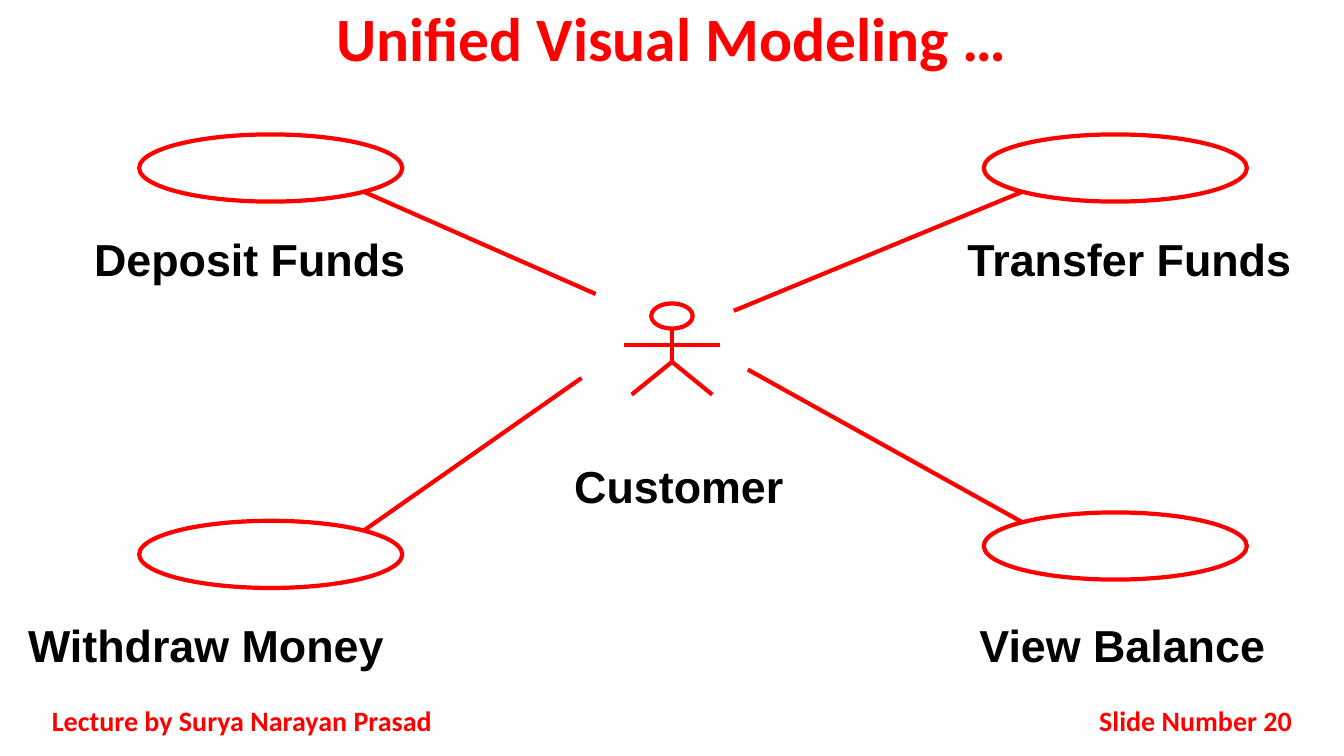
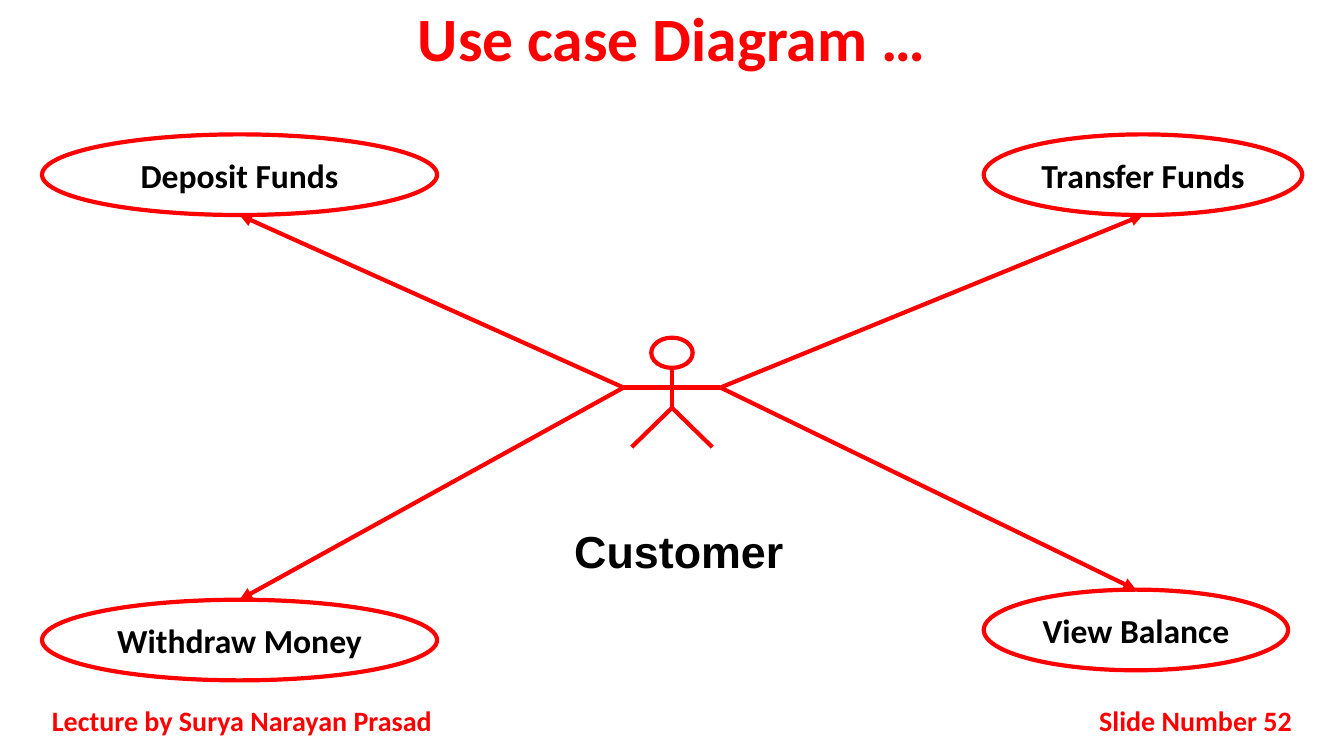
"""Build two use case diagram slides on a grid of 96 columns and 90 rows."""
import math

from lxml import etree
from pptx import Presentation
from pptx.dml.color import RGBColor
from pptx.enum import shapes, text
from pptx.oxml import ns
from pptx.util import Inches, Pt

RED = RGBColor(0xFF, 0, 0)
BLACK = RGBColor(0, 0, 0)
WHITE = RGBColor(0xFF, 0xFF, 0xFF)
WIDTH, HEIGHT = Inches(13.33), Inches(7.5)
COLUMNS, ROWS = 96, 90
STROKE = Pt(3)
TITLE_ONLY = 5
CENTER = text.PP_ALIGN.CENTER
LABEL_ROWS = 7.68

LABELLED_CASES = [
    ("Deposit Funds", (9.94, 16), (6, 27, 23.69), (42.55, 35)),
    ("Withdraw Money", (9.94, 62), (0.72, 73, 28), (41.54, 45)),
    ("View Balance", (70.27, 61), (68.33, 73, 23.69), (53.42, 44)),
    ("Transfer Funds", (70.27, 16), (68.33, 27, 24.7), (52.42, 37)),
]
NAMED_CASES = [
    ("Deposit Funds", (3, 16, 28.22, 9.6)),
    ("Withdraw Money", (3, 71.4, 28.22, 9.6)),
    ("View Balance", (70.27, 70.2, 21.74, 9.6)),
    ("Transfer Funds", (70.27, 16, 22.75, 9.6)),
]


def place(column, row):
    """Turn a grid position or size into slide lengths."""
    return round(WIDTH * column / COLUMNS), round(HEIGHT * row / ROWS)


def write(shape, words, size, color, font="Calibri", align=CENTER,
          anchor=text.MSO_ANCHOR.MIDDLE):
    """Put one bold paragraph into a shape."""
    frame = shape.text_frame
    frame.text = words
    frame.word_wrap = True
    frame.auto_size = text.MSO_AUTO_SIZE.NONE
    frame.vertical_anchor = anchor
    para = frame.paragraphs[0]
    para.alignment = align
    for span in para.runs:
        span.font.name, span.font.size = font, Pt(size)
        span.font.bold, span.font.color.rgb = True, color
    return para


def add_text(page, words, area, size, color, **style):
    """Add a text box over a grid area."""
    box = page.shapes.add_textbox(*place(*area[:2]), *place(*area[2:]))
    write(box, words, size, color, **style)


def add_label(page, words, area):
    """Add a large black caption."""
    add_text(page, words, area, 32, BLACK, font="Arial", anchor=text.MSO_ANCHOR.TOP)


def add_ellipse(page, area, words=""):
    """Add a red outlined ellipse, named inside if words are given."""
    oval = page.shapes.add_shape(shapes.MSO_SHAPE.OVAL, *place(*area[:2]), *place(*area[2:]))
    oval.shadow.inherit = False
    oval.fill.solid()
    oval.fill.fore_color.rgb = WHITE
    oval.line.color.rgb, oval.line.width = RED, STROKE
    if words:
        write(oval, words, 24, BLACK)


def add_line(page, start, end, arrow=False):
    """Add a red line between two grid points, with an optional arrowhead at its end."""
    line = page.shapes.add_connector(
        shapes.MSO_CONNECTOR.STRAIGHT, *place(*start), *place(*end))
    line.line.color.rgb, line.line.width = RED, STROKE
    if arrow:
        etree.SubElement(line.line._get_or_add_ln(), ns.qn("a:tailEnd"), type="triangle")
    etree.SubElement(line._element.spPr, ns.qn("a:effectLst"))


def add_customer(page, top, head, label_row):
    """Draw a stick figure scaled by its head height and return its two hands."""
    middle = COLUMNS / 2
    neck, hip = (middle, top + head), (middle, top + 2.32 * head)
    hands = [(middle + side * 3.46, top + 1.65 * head) for side in (-1, 1)]
    add_ellipse(page, (middle - 1.48, top, 2.96, head))
    add_line(page, neck, hip)
    for side in (-1, 1):
        add_line(page, hip, (middle + side * 2.88, top + 3.62 * head))
    add_line(page, *hands)
    add_label(page, "Customer", (36.65, label_row, 23.69, LABEL_ROWS))
    return hands


def rim_point(area, toward):
    """Return the diagonal point of an ellipse's rim that faces a grid point."""
    left, top, width, height = area
    center = (left + width / 2, top + height / 2)
    radii = (width / 2, height / 2)
    return [mid + math.copysign(radius * math.sqrt(0.5), goal - mid)
            for mid, radius, goal in zip(center, radii, toward)]


def add_page(deck, title, number):
    """Add a slide with its title and footer."""
    page = deck.slides.add_slide(deck.slide_layouts[TITLE_ONLY])
    heading = page.shapes.title
    heading.left, heading.top = 0, 0
    heading.width, heading.height = place(COLUMNS, 10)
    write(heading, title, 44, RED).line_spacing = 0.9
    add_text(page, "Lecture by Surya Narayan Prasad", (3, 83.4, 30, 4.8), 20, RED,
             align=text.PP_ALIGN.JUSTIFY)
    add_text(page, f"Slide Number {number}", (73.2, 83.4, 19.8, 4.8), 20, RED,
             align=text.PP_ALIGN.RIGHT)
    return page


def add_modeling_page(deck):
    """Show use cases with captions below them."""
    page = add_page(deck, "Unified Visual Modeling …", 20)
    add_customer(page, 36.12, 3, 54)
    for name, corner, caption, line_end in LABELLED_CASES:
        area = (*corner, 18.79, 8)
        add_ellipse(page, area)
        add_line(page, rim_point(area, line_end), line_end)
        add_label(page, name, (*caption, LABEL_ROWS))


def add_use_case_page(deck):
    """Show named use cases with arrows from the customer's hands."""
    page = add_page(deck, "Use case Diagram …", 52)
    left_hand, right_hand = add_customer(page, 40.2, 3.6, 61.8)
    for name, area in NAMED_CASES:
        left, top, width, height = area
        add_ellipse(page, area, name)
        hand = left_hand if left < COLUMNS / 2 else right_hand
        edge = top + height if top < hand[1] else top
        add_line(page, hand, (left + width / 2, edge), arrow=True)


def main():
    """Build and save the deck."""
    deck = Presentation()
    deck.slide_width, deck.slide_height = WIDTH, HEIGHT
    add_modeling_page(deck)
    add_use_case_page(deck)
    deck.save("out.pptx")


if __name__ == "__main__":
    main()
